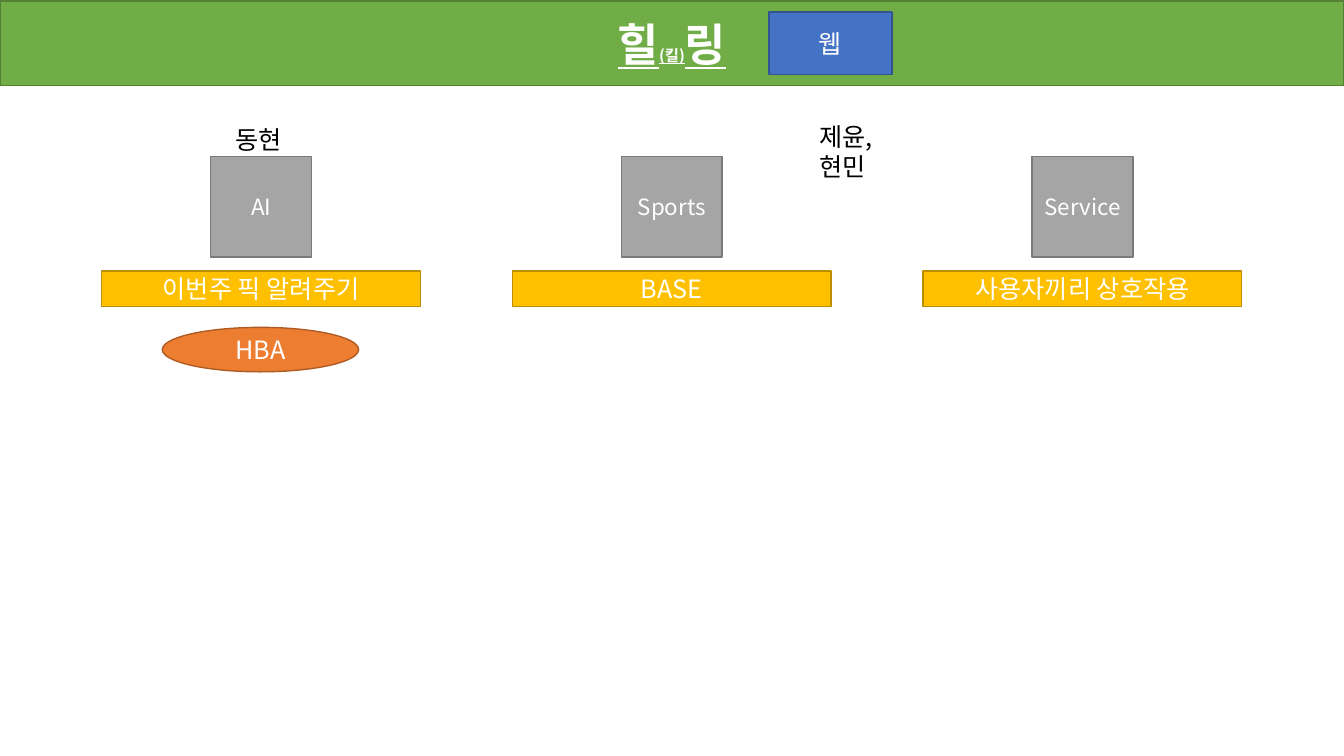
from pptx import Presentation
from pptx.dml.color import RGBColor
from pptx.enum.shapes import MSO_SHAPE
from pptx.enum.text import MSO_ANCHOR, PP_ALIGN
from pptx.oxml.ns import qn
from pptx.util import Cm, Pt
from lxml.etree import SubElement

FONT = "Noto Sans CJK KR"
WHITE = RGBColor(0xFF, 0xFF, 0xFF)
BLACK = RGBColor(0x00, 0x00, 0x00)
GREEN, GREEN_EDGE = RGBColor(0x70, 0xAD, 0x47), RGBColor(0x53, 0x80, 0x35)
BLUE, BLUE_EDGE = RGBColor(0x44, 0x72, 0xC4), RGBColor(0x32, 0x54, 0x91)
GRAY, GRAY_EDGE = RGBColor(0xA5, 0xA5, 0xA5), RGBColor(0x7A, 0x7A, 0x7A)
GOLD, GOLD_EDGE = RGBColor(0xFF, 0xC0, 0x00), RGBColor(0xBD, 0x8E, 0x00)
ORANGE, ORANGE_EDGE = RGBColor(0xED, 0x7D, 0x31), RGBColor(0xAF, 0x5C, 0x24)


def add_text(paragraph, text, size=18, color=WHITE, bold=None, underline=None):
    run = paragraph.add_run()
    run.text = text
    font = run.font
    font.name, font.size, font.bold, font.underline = FONT, Pt(size), bold, underline
    font.color.rgb = color
    # Korean letters take their font from the East Asian setting
    SubElement(run._r.get_or_add_rPr(), qn("a:ea")).set("typeface", FONT)


def add_block(left, top, width, height, fill, edge, kind=MSO_SHAPE.RECTANGLE):
    shape = slide.shapes.add_shape(kind, Cm(left), Cm(top), Cm(width), Cm(height))
    shape.shadow.inherit = False
    shape.fill.solid()
    shape.fill.fore_color.rgb = fill
    shape.line.color.rgb = edge
    shape.line.width = Pt(1)
    shape.text_frame.vertical_anchor = MSO_ANCHOR.MIDDLE
    paragraph = shape.text_frame.paragraphs[0]
    paragraph.alignment = PP_ALIGN.CENTER
    return paragraph


presentation = Presentation()
presentation.slide_width, presentation.slide_height = Cm(33.87), Cm(19.05)
slide = presentation.slides.add_slide(presentation.slide_layouts[6])

# Title band with the web badge
title = add_block(0, 0.03, 33.87, 2.13, GREEN, GREEN_EDGE)
for text, size in [("힐", 32), ("(킬)", 11), ("링", 32)]:
    add_text(title, text, size=size, bold=True, underline=True)
add_text(add_block(19.38, 0.3, 3.1, 1.58, BLUE, BLUE_EDGE), "웹")

# Three areas: a square with a caption bar below it
FIRST_CENTER, PITCH = 6.58, 10.35
SQUARE, BAR_WIDTH = 2.54, 8.03
areas = [("AI", "이번주 픽 알려주기"), ("Sports", "BASE"), ("Service", "사용자끼리 상호작용")]
for index, (name, caption) in enumerate(areas):
    center = FIRST_CENTER + index * PITCH
    square = add_block(center - SQUARE / 2, 3.94, SQUARE, SQUARE, GRAY, GRAY_EDGE)
    add_text(square, name, size=16)
    bar = add_block(center - BAR_WIDTH / 2, 6.83, BAR_WIDTH, 0.9, GOLD, GOLD_EDGE)
    add_text(bar, caption)

# League under the AI area
league = add_block(4.09, 8.25, 4.95, 1.12, ORANGE, ORANGE_EDGE, MSO_SHAPE.OVAL)
add_text(league, "HBA")

# People in charge; the wide right margin puts the second name on its own line
people = [("동현", 5.69, 3, 1.8, 0.25, False), ("제윤, 현민", 20.4, 2.92, 3.45, 0.9, True)]
for names, left, top, width, right_margin, wrap in people:
    text_frame = slide.shapes.add_textbox(Cm(left), Cm(top), Cm(width), Cm(1.02)).text_frame
    text_frame.word_wrap = wrap
    text_frame.margin_right = Cm(right_margin)
    add_text(text_frame.paragraphs[0], names, color=BLACK)

presentation.save("out.pptx")
